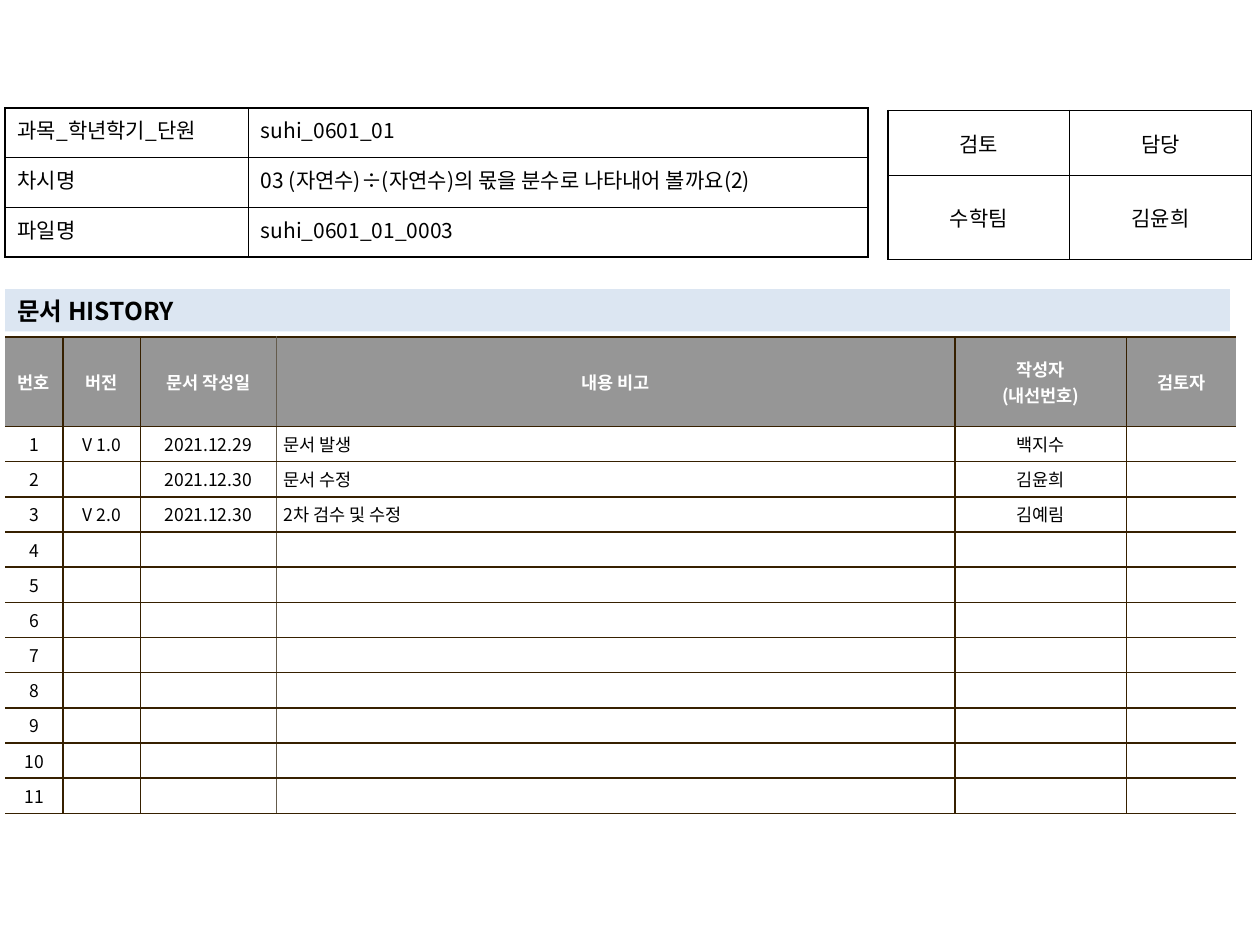
from lxml.etree import SubElement
from pptx import Presentation
from pptx.dml.color import RGBColor
from pptx.enum.shapes import MSO_SHAPE
from pptx.enum.text import MSO_ANCHOR, PP_ALIGN
from pptx.oxml.ns import qn
from pptx.util import Pt

FONT = "Noto Sans CJK KR"
BLACK = RGBColor(0x00, 0x00, 0x00)
WHITE = RGBColor(0xFF, 0xFF, 0xFF)
HEADER_GRAY = RGBColor(0x96, 0x96, 0x96)
BAND_BLUE = RGBColor(0xDC, 0xE6, 0xF2)
BROWN = RGBColor(0x36, 0x20, 0x00)
TAUPE = RGBColor(0x64, 0x5B, 0x4C)

LESSON_ROWS = [
    ["과목_학년학기_단원", "suhi_0601_01"],
    ["차시명", "03 (자연수)÷(자연수)의 몫을 분수로 나타내어 볼까요(2)"],
    ["파일명", "suhi_0601_01_0003"],
]
APPROVAL_ROWS = [["검토", "담당"], ["수학팀", "김윤희"]]
HISTORY_HEADER = ["번호", "버전", "문서 작성일", "내용 비고", "작성자\n(내선번호)", "검토자"]
HISTORY_ENTRIES = [
    ["V 1.0", "2021.12.29", "문서 발생", "백지수", ""],
    ["", "2021.12.30", "문서 수정", "김윤희", ""],
    ["V 2.0", "2021.12.30", "2차 검수 및 수정", "김예림", ""],
]
ENTRY_COUNT = 11
NOTE_COLUMN = 3


def style_text(frame, size, color, align, bold=False):
    for paragraph in frame.paragraphs:
        paragraph.alignment = align
        font = paragraph.font
        font.name, font.size, font.bold = FONT, Pt(size), bold
        font.color.rgb = color
        defaults = paragraph._p.pPr.find(qn("a:defRPr"))
        SubElement(defaults, qn("a:ea"), typeface=FONT)
        if not paragraph.runs:  # keeps empty rows from growing
            SubElement(paragraph._p, qn("a:endParaRPr"), sz=str(size * 100))


def set_borders(cell, left, right, top, bottom):
    """Draw a 1 pt line on each side that has a colour, none elsewhere."""
    properties = cell._tc.get_or_add_tcPr()
    for side, color in zip("LRTB", (left, right, top, bottom)):
        line = SubElement(properties, qn(f"a:ln{side}"), w=str(Pt(1)))
        if color is None:
            SubElement(line, qn("a:noFill"))
        else:
            fill = SubElement(line, qn("a:solidFill"))
            SubElement(fill, qn("a:srgbClr"), val=str(color))


def add_grid(slide, left, top, widths, heights, rows, margins):
    """Add a plain table and return its cells, row by row."""
    table = slide.shapes.add_table(
        len(rows), len(widths), Pt(left), Pt(top), Pt(sum(widths)), Pt(sum(heights))
    ).table
    table.first_row = table.horz_banding = False
    for column, width in zip(table.columns, widths):
        column.width = Pt(width)
    for row, height in zip(table.rows, heights):
        row.height = Pt(height)
    side, edge = margins
    for r, texts in enumerate(rows):
        for c, text in enumerate(texts):
            cell = table.cell(r, c)
            cell.text = text
            cell.margin_left = cell.margin_right = Pt(side)
            cell.margin_top = cell.margin_bottom = Pt(edge)
    return [[table.cell(r, c) for c in range(len(widths))] for r in range(len(rows))]


def add_boxed_table(slide, left, top, widths, heights, rows, aligns, anchor):
    cells = add_grid(slide, left, top, widths, heights, rows, (7.2, 3.6))
    for row in cells:
        for cell, align in zip(row, aligns):
            cell.vertical_anchor = anchor
            set_borders(cell, BLACK, BLACK, BLACK, BLACK)
            cell.fill.background()
            style_text(cell.text_frame, 12, BLACK, align)


def add_history_heading(slide, left, top, width, height):
    band = slide.shapes.add_shape(
        MSO_SHAPE.RECTANGLE, Pt(left), Pt(top), Pt(width), Pt(height)
    )
    band.shadow.inherit = False
    band.fill.solid()
    band.fill.fore_color.rgb = BAND_BLUE
    band.line.fill.background()
    band.text_frame.text = "문서 HISTORY"
    style_text(band.text_frame, 14, BLACK, PP_ALIGN.LEFT, bold=True)


def add_history_table(slide, left, top, widths, header_height, row_height):
    blanks = [[""] * 5] * (ENTRY_COUNT - len(HISTORY_ENTRIES))
    entries = [
        [str(number), *entry]
        for number, entry in enumerate(HISTORY_ENTRIES + blanks, start=1)
    ]
    heights = [header_height] + [row_height] * ENTRY_COUNT
    cells = add_grid(
        slide, left, top, widths, heights, [HISTORY_HEADER] + entries, (4.25, 2.8)
    )
    # Vertical lines from left to right; the outer sides stay open
    verticals = [None, BROWN, BROWN, TAUPE, BROWN, BROWN, None]
    for r, row in enumerate(cells):
        is_header = r == 0
        for c, cell in enumerate(row):
            is_note = c == NOTE_COLUMN and not is_header
            cell.vertical_anchor = MSO_ANCHOR.MIDDLE
            set_borders(cell, verticals[c], verticals[c + 1], BROWN, BROWN)
            cell.fill.solid()
            cell.fill.fore_color.rgb = HEADER_GRAY if is_header else WHITE
            style_text(
                cell.text_frame,
                10,
                WHITE if is_header else BLACK,
                PP_ALIGN.LEFT if is_note else PP_ALIGN.CENTER,
                bold=is_header,
            )


def main():
    deck = Presentation()
    deck.slide_width, deck.slide_height = Pt(720), Pt(540)
    slide = deck.slides.add_slide(deck.slide_layouts[6])

    # Revision history
    add_history_table(slide, 2.9, 192.7, [33.1, 44.2, 77.7, 388, 97.9, 62.6], 51, 20.1)
    # Reviewer and owner
    add_boxed_table(
        slide, 507.5, 63.2, [103.8, 103.8], [37, 48], APPROVAL_ROWS,
        [PP_ALIGN.CENTER] * 2, MSO_ANCHOR.MIDDLE,
    )
    add_history_heading(slide, 2.9, 165.2, 700, 24.2)
    # Lesson details
    add_boxed_table(
        slide, 2.9, 61.8, [139, 354.2], [28.35] * 3, LESSON_ROWS,
        [PP_ALIGN.JUSTIFY, PP_ALIGN.LEFT], MSO_ANCHOR.TOP,
    )
    deck.save("out.pptx")


if __name__ == "__main__":
    main()
